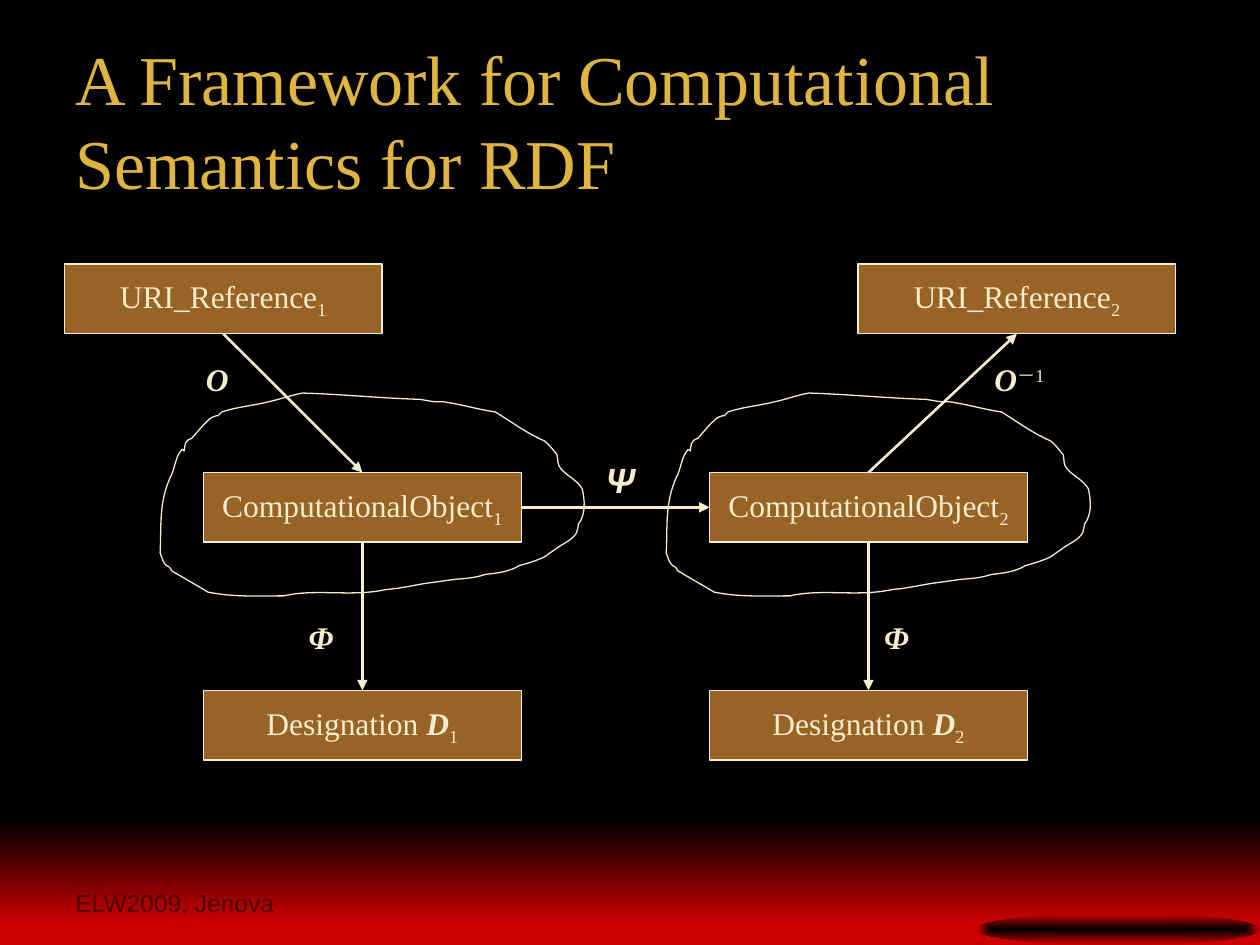
import pptx
import pptx.util
import pptx.dml.color
import pptx.enum.shapes
import pptx.enum.text
import pptx.oxml
import pptx.oxml.ns

Pt = pptx.util.Pt
SHAPE = pptx.enum.shapes.MSO_SHAPE
ANCHOR = pptx.enum.text.MSO_ANCHOR
ALIGN = pptx.enum.text.PP_ALIGN
FIT = pptx.enum.text.MSO_AUTO_SIZE

COLORS = {"black": "000000", "red": "CC0000", "gold": "DFB53F",
          "cream": "F7ECCD", "brown": "986426", "footer": "500000"}
SERIF, SANS = "Times New Roman", "Arial"
TITLE = "A Framework for Computational Semantics for RDF"
FOOTER = "ELW2009, Jenova"

PLAIN, STRONG, SUB, SUPER = (False, 0), (True, 0), (False, -25), (False, 30)
BOX_WIDTH, BOX_HEIGHT = 181.6, 39.8
COLUMN_LEFTS = {"1": 116.3, "2": 405.5}
URI_LEFTS = {"1": 36.8, "2": 490.3}
ROWS = [
    ("uri", URI_LEFTS, 150.9, [("URI_Reference", PLAIN)]),
    ("object", COLUMN_LEFTS, 270, [("ComputationalObject", PLAIN)]),
    ("designation", COLUMN_LEFTS, 394.5, [("Designation ", PLAIN), ("D", STRONG)]),
]

TOP, LEFT, BOTTOM, RIGHT = range(4)
ARROWS = [
    ("uri1", BOTTOM, "object1", TOP),
    ("object1", BOTTOM, "designation1", TOP),
    ("object1", RIGHT, "object2", LEFT),
    ("object2", BOTTOM, "designation2", TOP),
    ("object2", TOP, "uri2", BOTTOM),
]

LABELS = [
    (110.6, 202.3, 27.4, 28.8, 18, SERIF, [("O", STRONG)]),
    (169.2, 349.5, 28.1, 28.8, 18, SERIF, [("Φ", STRONG)]),
    (339.1, 258.5, 31, 31.7, 20, SANS, [("Ψ", STRONG)]),
    (498.2, 349.5, 28.1, 28.8, 18, SERIF, [("Φ", STRONG)]),
    (561.1, 202.3, 51.8, 28.8, 18, SERIF, [("O", STRONG), ("－1", SUPER)]),
]

CLOUD_INSET, CLOUD_TOP, CLOUD_UNIT = 25.5, 224.6, 0.72
CLOUD_START = (20, 46)
CLOUD_CURVES = [
    (21, 41, 20, 38, 26, 36), (29, 33, 39, 20, 43, 19), (45, 18, 46, 18, 47, 18),
    (48, 17, 49, 16, 50, 15), (62, 11, 75, 10, 87, 7), (96, 5, 104, 2, 114, 0),
    (146, 1, 174, 4, 207, 5), (209, 5, 211, 6, 213, 6), (217, 7, 221, 7, 226, 7),
    (240, 9, 253, 13, 267, 15), (280, 23, 292, 32, 306, 38),
    (310, 41, 316, 49, 316, 49), (317, 53, 316, 57, 319, 60),
    (324, 66, 332, 69, 336, 76), (338, 85, 339, 96, 333, 104),
    (333, 104, 332, 112, 330, 113), (327, 117, 320, 120, 316, 123),
    (313, 125, 309, 128, 306, 130), (300, 133, 293, 135, 286, 137),
    (278, 142, 268, 143, 259, 144), (250, 147, 244, 147, 234, 148),
    (227, 149, 220, 150, 212, 151), (200, 153, 192, 155, 180, 156),
    (153, 162, 125, 155, 99, 161), (77, 161, 59, 162, 39, 158),
    (29, 152, 20, 147, 10, 141), (10, 140, 9, 139, 8, 138),
    (7, 137, 5, 137, 5, 136), (3, 134, 2, 129, 1, 127),
    (2, 105, 0, 87, 9, 67), (12, 62, 13, 53, 16, 48), (19, 44, 18, 44, 20, 46),
]


def rgb(name):
    return pptx.dml.color.RGBColor.from_string(COLORS[name])


def paint(shape, fill=None, line=None):
    shape.shadow.inherit = False
    if fill:
        shape.fill.solid()
        shape.fill.fore_color.rgb = rgb(fill)
    if line:
        shape.line.color.rgb = rgb(line)
        shape.line.width = Pt(0.75)
    else:
        shape.line.fill.background()


def blend(shape):
    paint(shape)
    shape.fill.gradient()
    shape.fill.gradient_angle = 270
    for stop, name in zip(shape.fill.gradient_stops, ("black", "red")):
        stop.color.rgb = rgb(name)


def write(shape, spans, size, font, color, align=ALIGN.LEFT):
    para = shape.text_frame.paragraphs[0]
    para.alignment = align
    para.font.size = Pt(size)
    para.font.name = font
    para.font.color.rgb = rgb(color)
    for text, (strong, baseline) in spans:
        span = para.add_run()
        span.text = text
        if strong:
            span.font.bold = span.font.italic = True
        if baseline:
            span._r.get_or_add_rPr().set("baseline", str(baseline * 1000))
    return para


def add_backdrop(page):
    page.background.fill.solid()
    page.background.fill.fore_color.rgb = rgb("black")
    shapes = page.shapes
    band = shapes.add_shape(SHAPE.RECTANGLE, 0, Pt(527.8), Pt(720), Pt(12.2))
    paint(band, "red")
    blend(shapes.add_shape(SHAPE.RECTANGLE, 0, Pt(468), Pt(720), Pt(59.8)))
    glow = shapes.add_shape(SHAPE.OVAL, Pt(558), Pt(522), Pt(162), Pt(18))
    blend(glow)
    linear = glow._element.spPr.find(".//" + pptx.oxml.ns.qn("a:lin"))
    linear.getparent().replace(linear, pptx.oxml.parse_xml(
        f'<a:path {pptx.oxml.ns.nsdecls("a")} path="rect">'
        '<a:fillToRect l="50000" t="50000" r="50000" b="50000"/></a:path>'))
    footer = shapes.add_textbox(Pt(36), Pt(492), Pt(150), Pt(36))
    footer.text_frame.word_wrap = True
    footer.text_frame.vertical_anchor = ANCHOR.BOTTOM
    write(footer, [(FOOTER, PLAIN)], 14, SANS, "footer")


def add_title(page):
    title = page.shapes.title
    title.left, title.top, title.width, title.height = Pt(36), Pt(24), Pt(648), Pt(88)
    title.text_frame.vertical_anchor = ANCHOR.MIDDLE
    title.text_frame.auto_size = FIT.NONE
    para = write(title, [(TITLE, PLAIN)], 40, SERIF, "gold")
    para.line_spacing = Pt(48)


def add_cloud(page, left):
    points = [curve[i:i + 2] for curve in CLOUD_CURVES for i in (0, 2, 4)]
    builder = page.shapes.build_freeform(*CLOUD_START, scale=Pt(CLOUD_UNIT))
    builder.add_line_segments(points, close=True)
    cloud = builder.convert_to_shape(Pt(left), Pt(CLOUD_TOP))
    paint(cloud, "black", "cream")
    segments = list(cloud._element.iter(pptx.oxml.ns.qn("a:lnTo")))
    for first in range(0, len(points), 3):
        curve = pptx.oxml.parse_xml(f'<a:cubicBezTo {pptx.oxml.ns.nsdecls("a")}/>')
        segments[first].addprevious(curve)
        for segment in segments[first:first + 3]:
            curve.append(segment[0])
            segment.getparent().remove(segment)


def add_box(page, left, top, spans):
    box = page.shapes.add_shape(SHAPE.RECTANGLE, Pt(left), Pt(top),
                                Pt(BOX_WIDTH), Pt(BOX_HEIGHT))
    paint(box, "brown", "cream")
    box.text_frame.word_wrap = False
    box.text_frame.vertical_anchor = ANCHOR.MIDDLE
    write(box, spans, 18, SERIF, "cream", ALIGN.CENTER)
    return box


def add_arrow(page, source, source_side, target, target_side):
    arrow = page.shapes.add_connector(pptx.enum.shapes.MSO_CONNECTOR.STRAIGHT, 0, 0, 0, 0)
    arrow.begin_connect(source, source_side)
    arrow.end_connect(target, target_side)
    arrow.line.color.rgb = rgb("cream")
    arrow.line.width = Pt(1.5)
    namespace = pptx.oxml.ns.nsdecls("a")
    arrow.line._get_or_add_ln().append(
        pptx.oxml.parse_xml(f'<a:tailEnd {namespace} type="triangle"/>'))
    arrow._element.spPr.append(pptx.oxml.parse_xml(f"<a:effectLst {namespace}/>"))


def main():
    deck = pptx.Presentation()
    deck.slide_width, deck.slide_height = Pt(720), Pt(540)
    page = deck.slides.add_slide(deck.slide_layouts[5])
    add_backdrop(page)
    add_title(page)
    for left in COLUMN_LEFTS.values():
        add_cloud(page, left - CLOUD_INSET)
    boxes = {}
    for name, lefts, top, spans in ROWS:
        for number, left in lefts.items():
            boxes[name + number] = add_box(page, left, top, spans + [(number, SUB)])
    for source, source_side, target, target_side in ARROWS:
        add_arrow(page, boxes[source], source_side, boxes[target], target_side)
    for left, top, width, height, size, font, spans in LABELS:
        label = page.shapes.add_textbox(Pt(left), Pt(top), Pt(width), Pt(height))
        label.text_frame.word_wrap = False
        label.text_frame.auto_size = FIT.SHAPE_TO_FIT_TEXT
        write(label, spans, size, font, "cream")
    deck.save("out.pptx")


if __name__ == "__main__":
    main()
